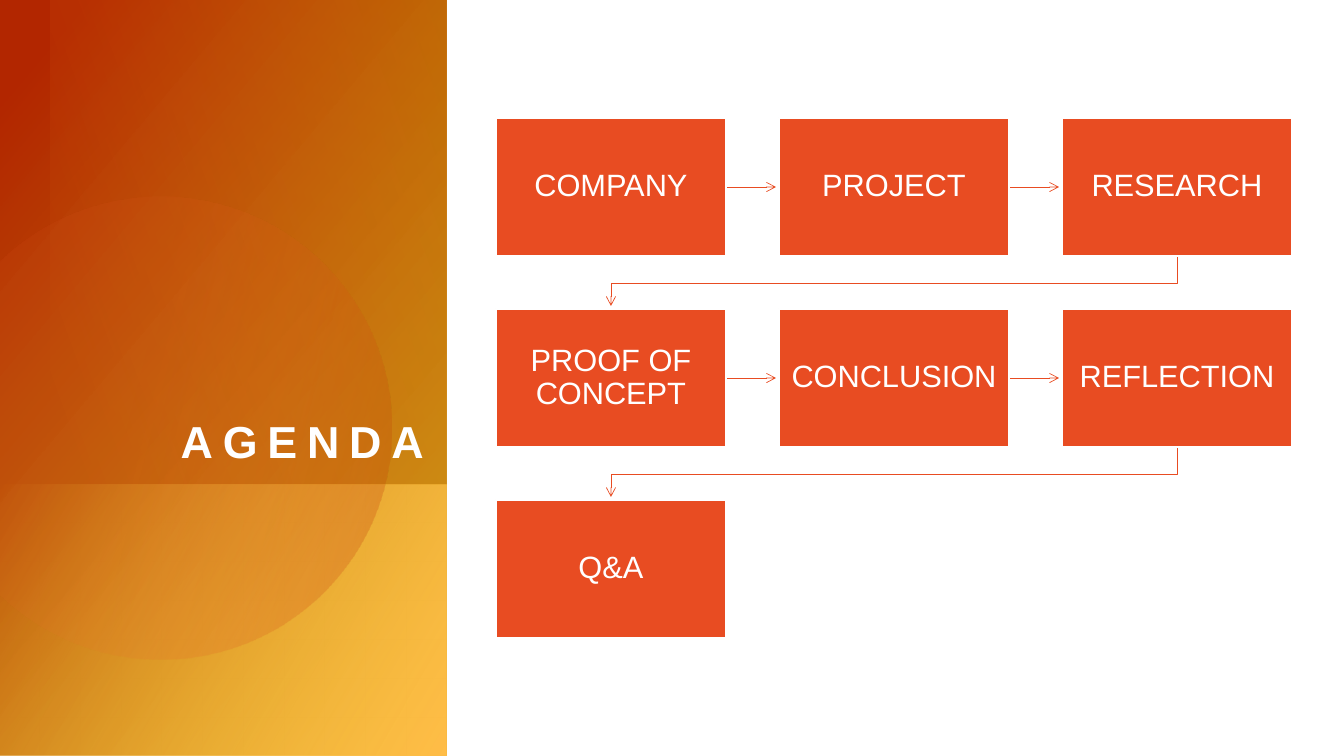
import math
from pptx import Presentation, util as u
from pptx.dml.color import RGBColor
from pptx.enum import shapes, text
from pptx.oxml.ns import qn
from lxml import etree

WHITE = RGBColor(0xFF, 0xFF, 0xFF)
ORANGE = RGBColor(0xE8, 0x4C, 0x22)
RED = RGBColor(0xB2, 0x26, 0x00)
CORAL = RGBColor(0xFF, 0x62, 0x38)
AMBER = RGBColor(0xFF, 0x84, 0x27)
OCHRE = RGBColor(0xCC, 0x99, 0x00)
YELLOW = RGBColor(0xFF, 0xD1, 0x47)
GOLD = RGBColor(0xFF, 0xBD, 0x47)
STEPS = ["COMPANY", "PROJECT", "RESEARCH", "PROOF OF CONCEPT",
         "CONCLUSION", "REFLECTION", "Q&A"]


def px(n):
    """Turn pixels into EMU."""
    return u.Emu(round(n * 914400 / 100.8))


def add_rect(s, *box):
    """Add a plain rectangle without shadow."""
    sp = s.shapes.add_shape(shapes.MSO_SHAPE.RECTANGLE, *map(px, box))
    sp.shadow.inherit = False
    return sp


def add_outline(s, points, close):
    """Add a freeform through the given pixel points."""
    points = [(px(x), px(y)) for x, y in points]
    builder = s.shapes.build_freeform(*points[0], scale=1.0)
    builder.add_line_segments(points[1:], close=close)
    sp = builder.convert_to_shape()
    sp.shadow.inherit = False
    return sp


def shade(sp, angle, *stops):
    """Fill with a clockwise gradient of (position, colour, opacity) stops."""
    sp.line.fill.background()
    sp.fill.gradient()
    sp.fill.gradient_angle = 360 - angle
    for stop, (position, colour, opacity) in zip(sp.fill.gradient_stops, stops):
        stop.position = position / 100
        stop.color.rgb = colour
    for clr, (_, _, opacity) in zip(sp._element.spPr.iter(qn("a:srgbClr")), stops):
        etree.SubElement(clr, qn("a:alpha"), val=str(opacity * 1000))


def write(sp, words, margins, frame, para, font):
    """Write one formatted paragraph into a shape."""
    tf = sp.text_frame
    tf.word_wrap = True
    sides = ("margin_left", "margin_top", "margin_right", "margin_bottom")
    for side, margin in zip(sides, margins):
        setattr(tf, side, px(margin))
    p = tf.paragraphs[0]
    r = p.add_run()
    r.text = words
    r.font.color.rgb = WHITE
    for target, values in ((tf, frame), (p, para), (r.font, font)):
        for name, value in values.items():
            setattr(target, name, value)
    return r


def add_arrowhead(sp):
    """Style a line as a thin orange arrow."""
    sp.line.color.rgb = ORANGE
    sp.line.width = u.Pt(0.5)
    etree.SubElement(sp.line._get_or_add_ln(), qn("a:tailEnd"), type="arrow")


def add_title_panel(s, x, y, w, h):
    """Draw the shaded panel with its disc and title."""
    split = 485
    shade(add_rect(s, x, y, w, h), 40, (8, RED, 100), (100, OCHRE, 89))
    shade(add_rect(s, x, y + split, w, h - split), 30,
          (0, YELLOW, 0), (99, GOLD, 100))
    cx, cy, radius = 160, 428, 231
    reach = 180 - math.degrees(math.acos(cx / radius))
    angles = [math.radians(-reach + 2 * reach * i / 120) for i in range(121)]
    disc = add_outline(s, [(x + cx + radius * math.cos(a),
                            y + cy + radius * math.sin(a)) for a in angles], True)
    shade(disc, 14, (36, CORAL, 6), (100, RED, 26))
    shade(add_rect(s, x + 50, y, w - 50, split), 160,
          (0, OCHRE, 29), (100, AMBER, 0))
    title = s.shapes.add_textbox(*map(px, (x + 50, y + 96, w - 72, 371)))
    r = write(title, "AGENDA", (0, 0, 0, 0),
              {"vertical_anchor": text.MSO_ANCHOR.BOTTOM},
              {"alignment": text.PP_ALIGN.RIGHT},
              {"name": "Arial", "size": u.Pt(32), "bold": True})
    r._r.get_or_add_rPr().set("spc", "700")


def add_step(s, words, *box):
    """Draw one agenda box."""
    sp = add_rect(s, *box)
    sp.fill.solid()
    sp.fill.fore_color.rgb = ORANGE
    sp.line.color.rgb = WHITE
    sp.line.width = u.Pt(1)
    write(sp, words, (11, 12, 11, 12),
          {"vertical_anchor": text.MSO_ANCHOR.MIDDLE},
          {"alignment": text.PP_ALIGN.CENTER, "line_spacing": 0.9},
          {"name": "Arial", "size": u.Pt(22)})


def add_flow(s, x, y, w, h):
    """Lay the agenda out in rows of three, joined by arrows."""
    columns, box_w, box_h = 3, 230, 138
    step_x = (w - box_w) / (columns - 1)
    step_y = (h - box_h) / 2
    for i, words in enumerate(STEPS):
        row, column = divmod(i, columns)
        left, top = x + column * step_x, y + row * step_y
        right, bottom = left + box_w, top + box_h
        if i < len(STEPS) - 1 and column < columns - 1:
            middle = top + box_h / 2
            ends = (right, middle, right + 50, middle)
            arrow = s.shapes.add_connector(shapes.MSO_CONNECTOR.STRAIGHT,
                                           *map(px, ends))
            add_arrowhead(arrow)
            etree.SubElement(arrow._element.spPr, qn("a:effectLst"))
        elif i < len(STEPS) - 1:
            start, end = left + box_w / 2, x + box_w / 2
            arrow = add_outline(s, [(start, bottom), (start, bottom + 27),
                                    (end, bottom + 27), (end, bottom + 50)], False)
            arrow.fill.background()
            add_arrowhead(arrow)
        add_step(s, words, left, top, box_w, box_h)


def main():
    """Build and save the agenda slide."""
    prs = Presentation()
    prs.slide_width, prs.slide_height = px(1344), px(756)
    s = prs.slides.add_slide(prs.slide_layouts[6])
    add_title_panel(s, 0, 0, 446, 756)
    add_flow(s, 496, 118, 796, 520)
    prs.save("out.pptx")


if __name__ == "__main__":
    main()
